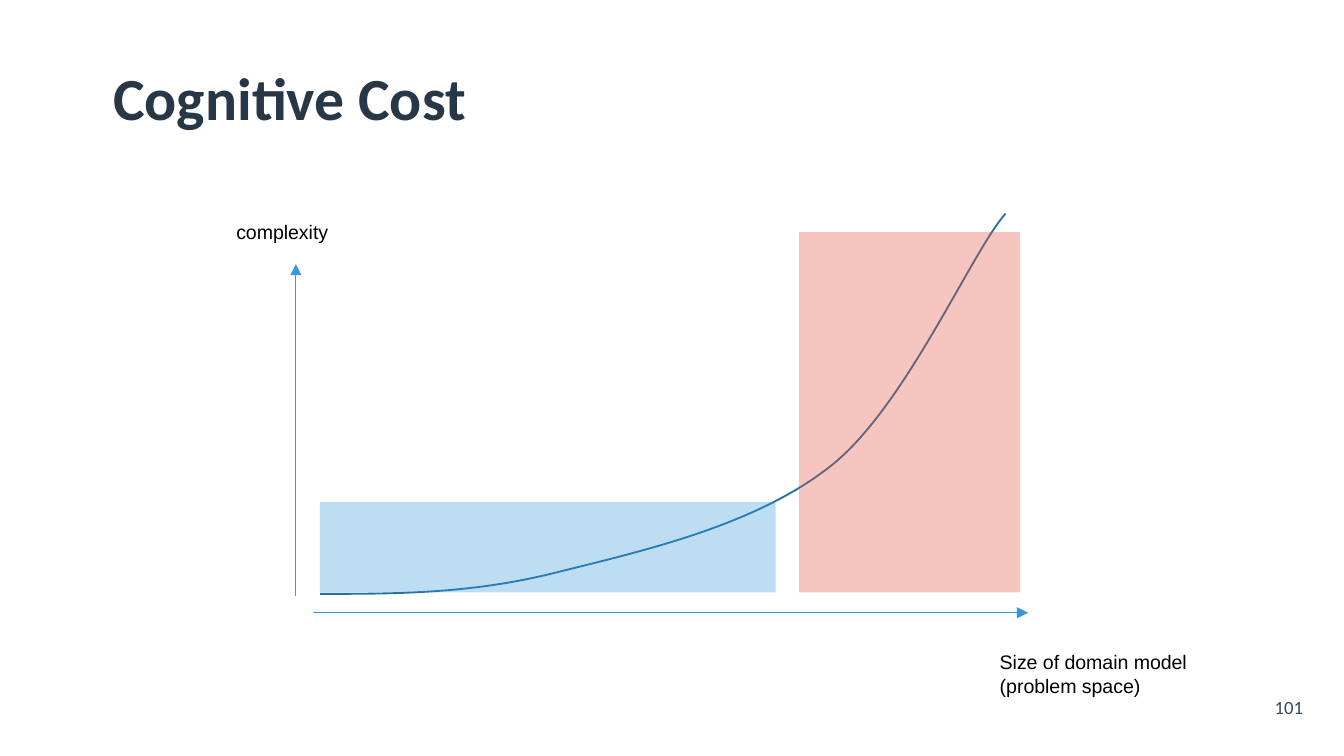
from lxml.etree import SubElement
from pptx import Presentation
from pptx.dml.color import RGBColor
from pptx.enum.shapes import MSO_CONNECTOR, MSO_SHAPE
from pptx.enum.text import MSO_ANCHOR, MSO_AUTO_SIZE, PP_ALIGN
from pptx.oxml.ns import qn
from pptx.util import Pt

COLORS = {
    "title": "273746",
    "number": "34495E",
    "label": "000000",
    "axis": "3498DB",
    "curve": "2670A2",
    "low_cost": "3498DB",
    "high_cost": "E74C3C",
}
ZONE_OPACITY = 32

# Start point, then two control points and an end point for each segment.
CURVE_POINTS = [
    (13, 203.7),
    (53.3, 203.7), (94.3, 203.7), (139.7, 192.2),
    (185.8, 180.7), (247, 167), (287.3, 134.6),
    (326.9, 102.9), (362.2, 20.1), (380.2, 0),
]


def color(name):
    return RGBColor.from_string(COLORS[name])


def style_text(frame, size, font_name, color_name, bold=False):
    for paragraph in frame.paragraphs:
        for run in paragraph.runs:
            run.font.size = Pt(size)
            run.font.name = font_name
            run.font.bold = bold
            run.font.color.rgb = color(color_name)


def add_title(slide, left, top, width, height):
    title = slide.shapes.title
    title.left, title.top = Pt(left), Pt(top)
    title.width, title.height = Pt(width), Pt(height)
    frame = title.text_frame
    frame.text = "Cognitive Cost"
    frame.auto_size = MSO_AUTO_SIZE.NONE
    frame.vertical_anchor = MSO_ANCHOR.MIDDLE
    frame.paragraphs[0].alignment = PP_ALIGN.LEFT
    frame.paragraphs[0].line_spacing = 0.9
    style_text(frame, 32, "Calibri", "title", bold=True)


def add_slide_number(slide, left, top, width, height):
    number = slide.shapes.add_textbox(Pt(left), Pt(top), Pt(width), Pt(height))
    frame = number.text_frame
    frame.text = "101"
    frame.word_wrap = True
    frame.margin_left = frame.margin_right = Pt(10.8)
    frame.margin_top = frame.margin_bottom = Pt(5)
    frame.paragraphs[0].alignment = PP_ALIGN.CENTER
    frame.paragraphs[0].line_spacing = 0.5
    style_text(frame, 10, "Calibri", "number")


def add_axis(slide, x1, y1, x2, y2):
    axis = slide.shapes.add_connector(
        MSO_CONNECTOR.STRAIGHT, Pt(x1), Pt(y1), Pt(x2), Pt(y2))
    axis.line.color.rgb = color("axis")
    axis.line.width = Pt(0.5)
    SubElement(axis.line._get_or_add_ln(), qn("a:tailEnd"), type="triangle")
    SubElement(axis._element.spPr, qn("a:effectLst"))


def add_curve(slide, left, top):
    """Draw the cost curve, turning each three vertices into one Bezier segment."""
    start, *rest = [(Pt(left + x), Pt(top + y)) for x, y in CURVE_POINTS]
    builder = slide.shapes.build_freeform(*start)
    builder.add_line_segments(rest, close=False)
    curve = builder.convert_to_shape()
    curve.shadow.inherit = False
    curve.fill.background()
    curve.line.color.rgb = color("curve")
    curve.line.width = Pt(1)

    outline = curve._element.spPr.find(".//" + qn("a:path"))
    vertices = outline.findall(qn("a:lnTo"))
    for i in range(0, len(vertices), 3):
        segment = SubElement(outline, qn("a:cubicBezTo"))
        for vertex in vertices[i:i + 3]:
            segment.append(vertex[0])
            outline.remove(vertex)


def add_zone(slide, left, top, width, height, color_name):
    zone = slide.shapes.add_shape(
        MSO_SHAPE.RECTANGLE, Pt(left), Pt(top), Pt(width), Pt(height))
    zone.shadow.inherit = False
    zone.line.fill.background()
    zone.fill.solid()
    zone.fill.fore_color.rgb = color(color_name)
    fill_color = zone._element.spPr.find(".//" + qn("a:srgbClr"))
    SubElement(fill_color, qn("a:alpha"), val=str(ZONE_OPACITY * 1000))


def add_axis_label(slide, left, top, width, height, text):
    label = slide.shapes.add_textbox(Pt(left), Pt(top), Pt(width), Pt(height))
    label.text_frame.text = text
    label.text_frame.word_wrap = False
    style_text(label.text_frame, 10.5, "Arial", "label")


def add_cost_diagram(slide, left, top, width, height):
    bottom = top + height
    add_axis(slide, left, bottom - 9, left, top + 27)
    add_axis(slide, left + 9.4, bottom, left + width, bottom)
    add_curve(slide, left, top)
    add_axis_label(slide, left + 370, bottom + 16.6, 116.6, 32.4,
                   "Size of domain model\n(problem space)")
    add_axis_label(slide, left - 39, top, 64.8, 20.2, "complexity")

    zones_bottom = bottom - 10.9
    for offset, zone_width, zone_height, name in [
        (269.5, 118.5, 193, "high_cost"),
        (12.8, 244.2, 48.5, "low_cost"),
    ]:
        add_zone(slide, left + offset, zones_bottom - zone_height,
                 zone_width, zone_height, name)


def main():
    prs = Presentation()
    prs.slide_width, prs.slide_height = Pt(720), Pt(405)
    slide = prs.slides.add_slide(prs.slide_layouts[5])
    add_slide_number(slide, 670.3, 375.1, 40.3, 18.7)
    add_title(slide, 53.5, 32.4, 617, 43.2)
    add_cost_diagram(slide, 158.5, 114.5, 392.3, 213.8)
    prs.save("out.pptx")


if __name__ == "__main__":
    main()
